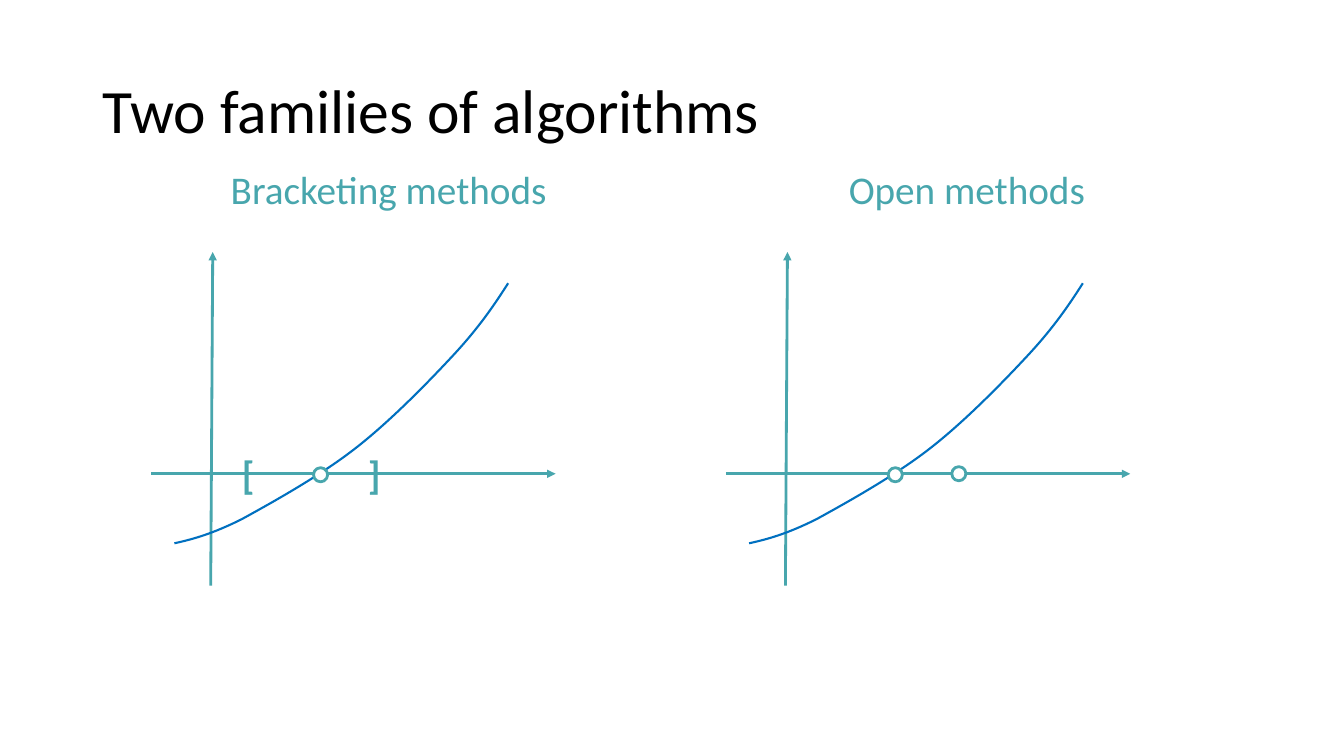
import dataclasses

import lxml.etree
import pptx
import pptx.dml.color
import pptx.enum.shapes
import pptx.enum.text
import pptx.oxml.ns
import pptx.util

Inches = pptx.util.Inches
Pt = pptx.util.Pt
qn = pptx.oxml.ns.qn

TEAL = "48A6AD"
BLUE = "0070C0"
WHITE = "FFFFFF"
BLACK = "000000"
PANEL_STEP = 5.7
MARKER_SIZE = 0.14

# Start point, then three Bézier points per segment
CURVE = [
    (1.73, 5.39),
    (1.91, 5.35), (2.1, 5.3), (2.4, 5.15),
    (2.69, 4.99), (3.16, 4.73), (3.51, 4.46),
    (3.86, 4.19), (4.24, 3.8), (4.5, 3.52),
    (4.75, 3.25), (4.9, 3.03), (5.04, 2.81),
]


@dataclasses.dataclass
class Panel:
    heading: str
    heading_left: float
    heading_width: float
    brackets: list[tuple[str, float]]
    markers: list[tuple[float, float]]


# Bracket and marker positions are measured in the first panel
PANELS = [
    Panel("Bracketing methods", 2.19, 3.37, [("[", 2.3), ("]", 3.55)], [(3.11, 4.64)]),
    Panel("Open methods", 8.32, 2.66, [], [(3.11, 4.64), (3.74, 4.63)]),
]


def color(value: str) -> pptx.dml.color.RGBColor:
    return pptx.dml.color.RGBColor.from_string(value)


def add_text(shapes, text: str, left: float, top: float, width: float, height: float, *,
             size: float = 28, fill: str = TEAL, bold: bool = False, wrap: bool = False,
             anchor=pptx.enum.text.MSO_ANCHOR.TOP, line_spacing: float = 1.0) -> None:
    box = shapes.add_textbox(Inches(left), Inches(top), Inches(width), Inches(height))
    frame = box.text_frame
    frame.word_wrap = wrap
    frame.vertical_anchor = anchor
    if not wrap:
        frame.auto_size = pptx.enum.text.MSO_AUTO_SIZE.SHAPE_TO_FIT_TEXT
    paragraph = frame.paragraphs[0]
    paragraph.text = text
    paragraph.line_spacing = line_spacing
    paragraph.font.name = "Calibri"
    paragraph.font.size = Pt(size)
    paragraph.font.bold = bold
    paragraph.font.color.rgb = color(fill)


def set_line(shape, value: str, width: float) -> None:
    shape.line.color.rgb = color(value)
    shape.line.width = Pt(width)


def add_axis(shapes, start: tuple[float, float], end: tuple[float, float]) -> None:
    axis = shapes.add_connector(pptx.enum.shapes.MSO_CONNECTOR.STRAIGHT,
                                *(Inches(value) for value in start + end))
    set_line(axis, TEAL, 2)
    lxml.etree.SubElement(axis.line._get_or_add_ln(), qn("a:tailEnd"), type="triangle")
    lxml.etree.SubElement(axis._element.spPr, qn("a:effectLst"))


def add_curve(shapes, offset: float) -> None:
    points = [(Inches(x + offset), Inches(y)) for x, y in CURVE]
    builder = shapes.build_freeform(*points[0])
    builder.add_line_segments(points[1:], close=False)
    curve = builder.convert_to_shape()
    curve.shadow.inherit = False
    curve.fill.background()
    set_line(curve, BLUE, 1.5)
    # Join each three straight segments into one Bézier segment
    outline = curve._element.find(".//" + qn("a:path"))
    segments = outline.findall(qn("a:lnTo"))
    for index in range(0, len(segments), 3):
        bezier = lxml.etree.SubElement(outline, qn("a:cubicBezTo"))
        for segment in segments[index:index + 3]:
            bezier.append(segment[0])
            outline.remove(segment)


def add_marker(shapes, left: float, top: float) -> None:
    marker = shapes.add_shape(pptx.enum.shapes.MSO_SHAPE.OVAL, Inches(left), Inches(top),
                              Inches(MARKER_SIZE), Inches(MARKER_SIZE))
    marker.shadow.inherit = False
    marker.fill.solid()
    marker.fill.fore_color.rgb = color(WHITE)
    set_line(marker, TEAL, 2)


def add_panel(slide, panel: Panel, offset: float) -> None:
    shapes = slide.shapes.add_group_shape().shapes
    for text, left in panel.brackets:
        add_text(shapes, text, left + offset, 4.42, 0.33, 0.57, bold=True)
    add_axis(shapes, (1.5 + offset, 4.7), (5.51 + offset, 4.7))
    add_axis(shapes, (2.09 + offset, 5.81), (2.11 + offset, 2.5))
    add_curve(shapes, offset)
    for left, top in panel.markers:
        add_marker(shapes, left + offset, top)
    add_text(slide.shapes, panel.heading, panel.heading_left, 1.59, panel.heading_width, 0.57)


def main() -> None:
    presentation = pptx.Presentation()
    presentation.slide_width = Inches(13.33)
    presentation.slide_height = Inches(7.5)
    slide = presentation.slides.add_slide(presentation.slide_layouts[6])

    # Title
    add_text(slide.shapes, "Two families of algorithms", 0.92, 0.4, 11.5, 1.45,
             size=44, fill=BLACK, wrap=True, line_spacing=0.9,
             anchor=pptx.enum.text.MSO_ANCHOR.MIDDLE)

    # Function plots
    for index, panel in enumerate(PANELS):
        add_panel(slide, panel, index * PANEL_STEP)

    presentation.save("out.pptx")


if __name__ == "__main__":
    main()
